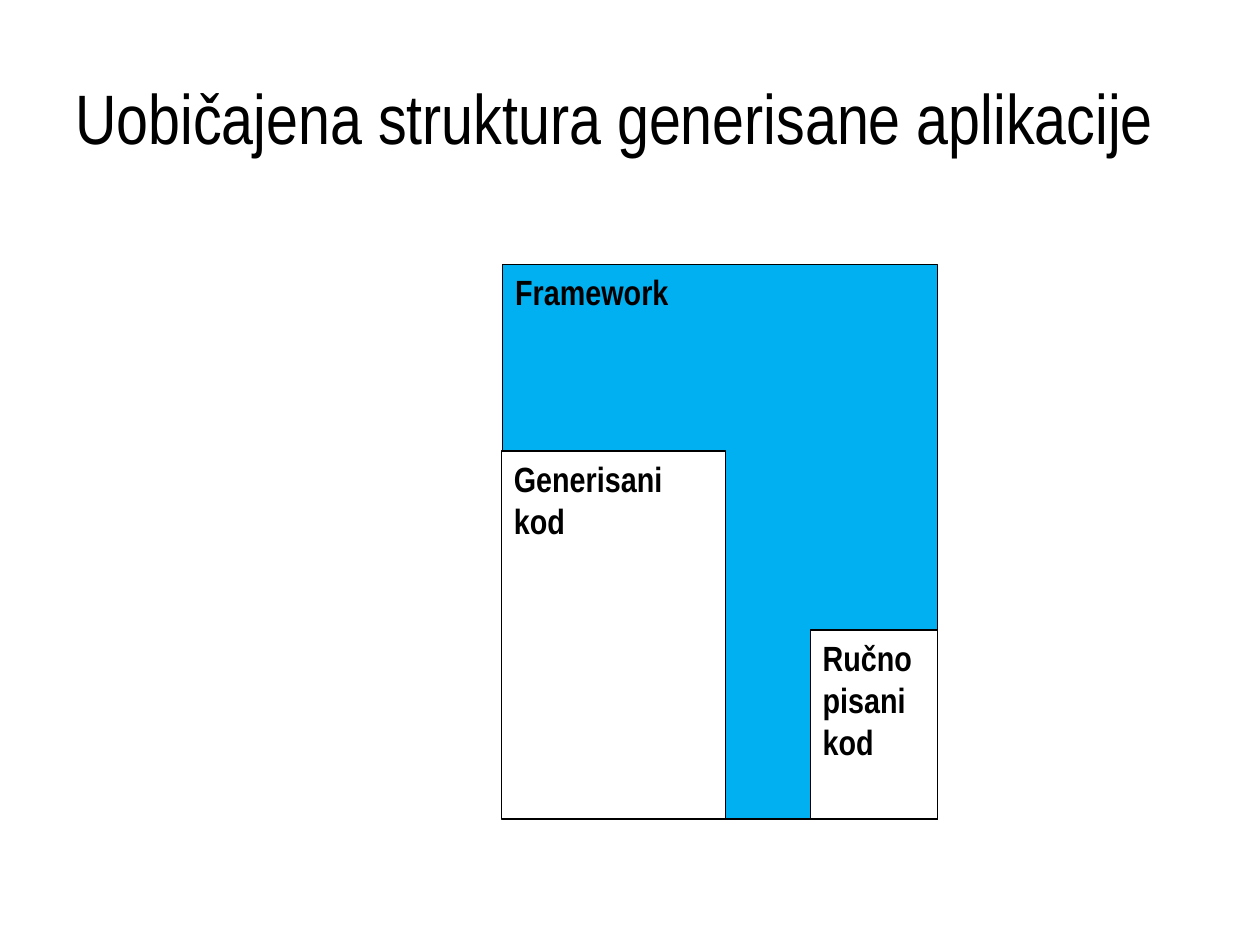
import pptx
import pptx.dml.color
import pptx.enum.shapes
import pptx.enum.text
import pptx.util
from pptx.util import Inches

COLORS = {"ink": "000000", "framework": "00B0F0", "code": "FFFFFF"}
FONT = "Arial Narrow"


def rgb(name):
    return pptx.dml.color.RGBColor.from_string(COLORS[name])


def write(frame, text, size, anchor, bold=False):
    frame.word_wrap = True
    frame.vertical_anchor = anchor
    frame.margin_left = frame.margin_right = Inches(0.1)
    frame.margin_top = frame.margin_bottom = Inches(0.05)
    paragraph = frame.paragraphs[0]
    paragraph.text = text
    paragraph.alignment = pptx.enum.text.PP_ALIGN.LEFT
    paragraph.font.name = FONT
    paragraph.font.size = pptx.util.Pt(size)
    paragraph.font.bold = bold
    paragraph.font.color.rgb = rgb("ink")


def add_title(slide, left, top, width, height):
    title = slide.shapes.add_textbox(left, top, width, height)
    write(title.text_frame, "Uobičajena struktura generisane aplikacije", 40,
          pptx.enum.text.MSO_ANCHOR.MIDDLE)


def add_block(shapes, text, fill, left, top, width, height):
    block = shapes.add_shape(pptx.enum.shapes.MSO_SHAPE.RECTANGLE,
                             left, top, width, height)
    block.shadow.inherit = False
    block.fill.solid()
    block.fill.fore_color.rgb = rgb(fill)
    block.line.color.rgb = rgb("ink")
    block.line.width = pptx.util.Pt(0.75)
    write(block.text_frame, text, 20, pptx.enum.text.MSO_ANCHOR.TOP, bold=True)


def add_application(slide, left, top, width, height):
    """Draw the framework with both kinds of code in its lower corners."""
    shapes = slide.shapes.add_group_shape().shapes
    right, bottom = left + width, top + height
    add_block(shapes, "Framework", "framework", left, top, width, height)

    generated_width, generated_height = Inches(1.78), Inches(2.92)
    add_block(shapes, "Generisani kod", "code", left - Inches(0.01),
              bottom - generated_height, generated_width, generated_height)

    manual_width, manual_height = Inches(1.01), Inches(1.5)
    add_block(shapes, "Ručno pisani kod", "code", right - manual_width,
              bottom - manual_height, manual_width, manual_height)


def main():
    deck = pptx.Presentation()
    deck.slide_width, deck.slide_height = Inches(10), Inches(7.5)
    slide = deck.slides.add_slide(deck.slide_layouts[6])
    add_title(slide, Inches(0.5), Inches(0.3), Inches(9), Inches(1.25))
    add_application(slide, Inches(3.99), Inches(2.1), Inches(3.45), Inches(4.4))
    deck.save("out.pptx")


if __name__ == "__main__":
    main()
